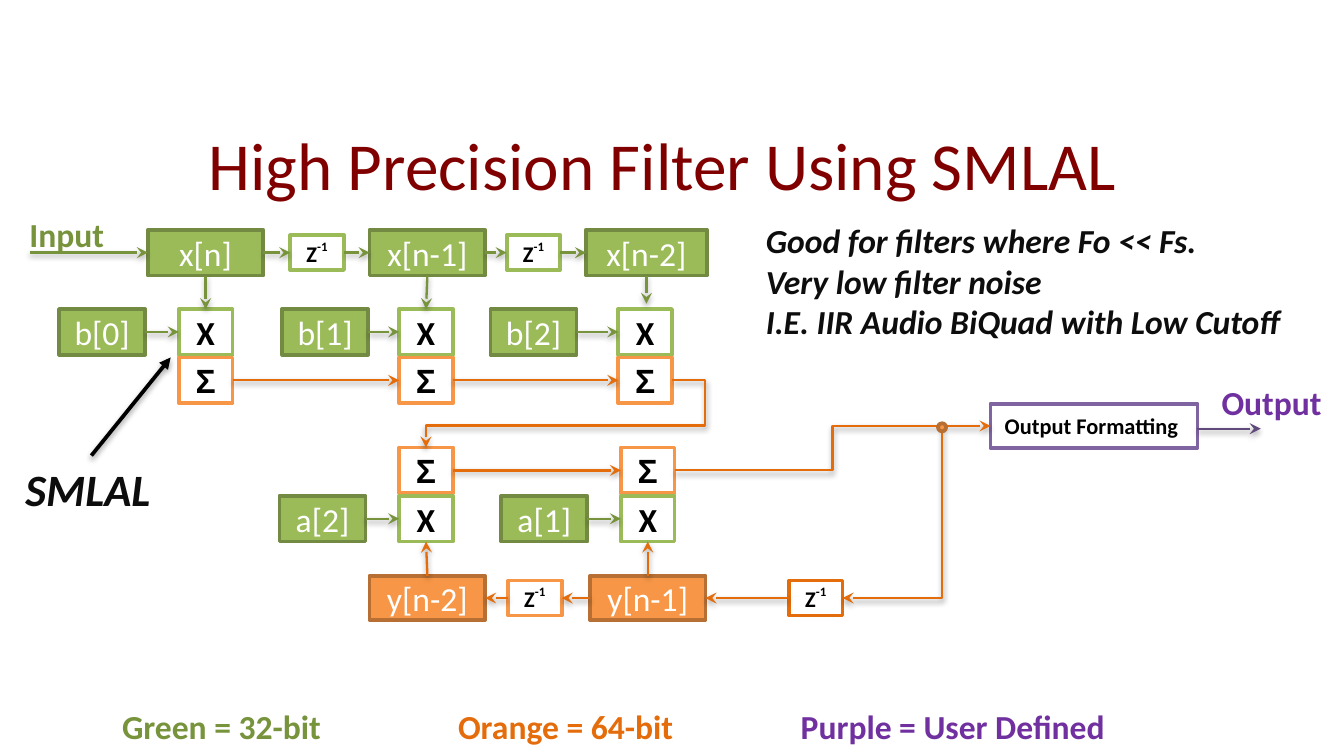
from lxml.etree import SubElement
from pptx import Presentation
from pptx.dml.color import RGBColor
from pptx.enum.shapes import MSO_CONNECTOR, MSO_SHAPE
from pptx.enum.text import MSO_ANCHOR, MSO_AUTO_SIZE, PP_ALIGN
from pptx.oxml import parse_xml
from pptx.oxml.ns import nsdecls, qn
from pptx.util import Inches, Pt

THEME = {
    "font": "Calibri", "math": "Arial",
    "title": "800000", "ink": "0D0D0D", "black": "000000", "white": "FFFFFF",
    "green": "9BBB59", "green_edge": "738A42", "green_dark": "77933C",
    "orange": "F79646", "orange_edge": "B76F34", "orange_dark": "E46C0A",
    "purple": "7030A0", "purple_edge": "8064A2", "purple_dark": "604A7B",
    "title_size": 36, "callout_size": 24, "body_size": 18, "small_size": 12,
    "box_line": 2, "wire": 1.25,
}
TOP, LEFT, BOTTOM, RIGHT = range(4)

TITLE = "High Precision Filter Using SMLAL"

# kind: width, height, fill, line, text colour, size, bold, font
KINDS = {
    "input": (0.86, 0.34, "green", "green_edge", "white", "body_size", False, "font"),
    "input_wide": (0.9, 0.34, "green", "green_edge", "white", "body_size", False, "font"),
    "coef": (0.64, 0.34, "green", "green_edge", "white", "body_size", False, "font"),
    "output": (0.86, 0.33, "orange", "orange_edge", "white", "body_size", False, "font"),
    "delay": (0.40, 0.26, "white", "green", "black", "small_size", True, "font"),
    "delay_out": (0.40, 0.26, "white", "orange", "black", "small_size", True, "font"),
    "delay_in": (0.40, 0.26, "white", "orange_dark", "black", "small_size", True, "font"),
    "mul": (0.40, 0.34, "white", "green", "black", "body_size", True, "font"),
    "sum": (0.40, 0.34, "white", "orange", "black", "body_size", True, "math"),
    "format": (1.54, 0.33, "white", "purple_edge", "black", "small_size", True, "font"),
}

# row: centre height
ROWS = {"x": 1.88, "mul": 2.47, "sum": 2.83, "out": 3.17,
        "sum_back": 3.5, "mul_back": 3.86, "y": 4.45}

# name, text, superscript, kind, left, row
BOXES = [
    ("x0", "x[n]", "", "input", 1.1, "x"),
    ("x1", "x[n-1]", "", "input", 2.75, "x"),
    ("x2", "x[n-2]", "", "input_wide", 4.36, "x"),
    ("zx1", "Z", "-1", "delay", 2.16, "x"),
    ("zx2", "Z", "-1", "delay", 3.77, "x"),
    ("b0", "b[0]", "", "coef", 0.44, "mul"),
    ("b1", "b[1]", "", "coef", 2.1, "mul"),
    ("b2", "b[2]", "", "coef", 3.65, "mul"),
    ("mb0", "X", "", "mul", 1.33, "mul"),
    ("mb1", "X", "", "mul", 2.97, "mul"),
    ("mb2", "X", "", "mul", 4.6, "mul"),
    ("sb0", "Σ", "", "sum", 1.33, "sum"),
    ("sb1", "Σ", "", "sum", 2.97, "sum"),
    ("sb2", "Σ", "", "sum", 4.6, "sum"),
    ("sa2", "Σ", "", "sum", 2.97, "sum_back"),
    ("sa1", "Σ", "", "sum", 4.62, "sum_back"),
    ("a2", "a[2]", "", "coef", 2.08, "mul_back"),
    ("a1", "a[1]", "", "coef", 3.73, "mul_back"),
    ("ma2", "X", "", "mul", 2.97, "mul_back"),
    ("ma1", "X", "", "mul", 4.62, "mul_back"),
    ("y2", "y[n-2]", "", "output", 2.75, "y"),
    ("y1", "y[n-1]", "", "output", 4.39, "y"),
    ("zy2", "Z", "-1", "delay_out", 3.78, "y"),
    ("zy1", "Z", "-1", "delay_in", 5.87, "y"),
    ("format", "Output Formatting ", "", "format", 7.37, "out"),
]

# colour: links, each end a (box, side) pair or a point
LINKS = {
    "green_dark": [
        ((0.22, 1.88), ("x0", LEFT)),
        (("x0", RIGHT), ("zx1", LEFT)), (("zx1", RIGHT), ("x1", LEFT)),
        (("x1", RIGHT), ("zx2", LEFT)), (("zx2", RIGHT), ("x2", LEFT)),
        (("x0", BOTTOM), ("mb0", TOP)), (("x1", BOTTOM), ("mb1", TOP)),
        (("x2", BOTTOM), (4.81, 2.26)),
        (("b0", RIGHT), ("mb0", LEFT)), (("b1", RIGHT), ("mb1", LEFT)),
        (("b2", RIGHT), ("mb2", LEFT)),
        (("a2", RIGHT), ("ma2", LEFT)), (("a1", RIGHT), ("ma1", LEFT)),
    ],
    "orange_dark": [
        (("sb0", RIGHT), ("sb1", LEFT)), (("sb1", RIGHT), ("sb2", LEFT)),
        (("sa2", RIGHT), ("sa1", LEFT)),
        (("zy1", LEFT), ("y1", RIGHT)), (("y1", LEFT), ("zy2", RIGHT)),
        (("zy2", LEFT), ("y2", RIGHT)),
        (("y2", TOP), ("ma2", BOTTOM)), (("y1", TOP), ("ma1", BOTTOM)),
    ],
    "purple_dark": [((8.91, 3.19), (9.38, 3.19))],
}

# from, to, preset, adjustments, arrow end
BENDS = [
    ((5.0, 2.83), (3.17, 3.33), "bentConnector4", (-13600, 67200), "tailEnd"),
    ((5.02, 3.5), (7.37, 3.17), "bentConnector3", (50000,), "tailEnd"),
    ((6.27, 4.45), (7.01, 3.18), "bentConnector2", (), "headEnd"),
]

# left, top, width, height, lines of (text, colour) runs, size, italic
LABELS = [
    (0.81, 5.2, 8, 0.4, [[("Green = 32-bit\t", "green_dark"),
                          ("Orange = 64-bit\t", "orange_dark"),
                          ("Purple = User Defined", "purple")]], "body_size", False),
    (0.12, 1.54, 0.78, 0.4, [[("Input", "green_dark")]], "body_size", False),
    (8.99, 2.79, 0.99, 0.4, [[("Output", "purple")]], "body_size", False),
    (5.6, 1.59, 4.14, 1.01, [[("Good for filters where Fo << Fs.", "ink")],
                             [("Very low filter noise", "ink")],
                             [("I.E. IIR Audio BiQuad with Low Cutoff", "ink")]],
     "body_size", True),
    (0.09, 3.39, 1.18, 0.5, [[("SMLAL", "ink")]], "callout_size", True),
]
LEGEND_TABS = (2.5, 5.05)


def rgb(name):
    return RGBColor.from_string(THEME[name])


def add_run(p, text, color="black", size="body_size", bold=False, italic=False,
            font="font", baseline=None):
    r = p.add_run()
    r.text = text
    r.font.name, r.font.size = THEME[font], Pt(THEME[size])
    r.font.bold, r.font.italic = bold, italic
    r.font.color.rgb = rgb(color)
    if baseline:
        r.font._element.set("baseline", str(baseline))


def add_node(s, shape, left, top, width, height, fill, line):
    sp = s.shapes.add_shape(shape, *map(Inches, (left, top, width, height)))
    sp.shadow.inherit = False
    sp.fill.solid()
    sp.fill.fore_color.rgb = rgb(fill)
    sp.line.color.rgb = rgb(line)
    sp.line.width = Pt(THEME["box_line"])
    return sp


def add_box(s, text, sup, kind, left, row):
    width, height, fill, line, color, size, bold, font = KINDS[kind]
    sp = add_node(s, MSO_SHAPE.RECTANGLE, left, ROWS[row] - height / 2,
                  width, height, fill, line)
    tf = sp.text_frame
    tf.margin_left = tf.margin_right = tf.margin_top = tf.margin_bottom = 0
    tf.vertical_anchor = MSO_ANCHOR.MIDDLE
    p = tf.paragraphs[0]
    p.alignment = PP_ALIGN.CENTER
    add_run(p, text, color, size, bold, font=font)
    if sup:
        add_run(p, sup, color, size, bold, baseline=48000)
    return sp


def add_arrow(s, start, end, color, width=THEME["wire"], head="stealth",
              arrow_end="tailEnd", kind=MSO_CONNECTOR.STRAIGHT):
    """Add a connector with an arrowhead and a soft shadow below it."""
    c = s.shapes.add_connector(kind, *map(Inches, (*start, *end)))
    c.line.color.rgb = rgb(color)
    c.line.width = Pt(width)
    SubElement(c.line._get_or_add_ln(), qn("a:" + arrow_end), type=head)
    c._element.spPr.append(parse_xml(
        f'<a:effectLst {nsdecls("a")}><a:outerShdw blurRad="40000" dist="20000" '
        'dir="5400000" rotWithShape="0"><a:srgbClr val="000000">'
        '<a:alpha val="38000"/></a:srgbClr></a:outerShdw></a:effectLst>'))
    return c


def add_link(s, boxes, start, end, color):
    """Join two ends; an end that names a box is glued to its side."""
    c = add_arrow(s, *[(0, 0) if e[0] in boxes else e for e in (start, end)], color)
    for e, connect in ((start, c.begin_connect), (end, c.end_connect)):
        if e[0] in boxes:
            connect(boxes[e[0]], e[1])


def add_bend(s, start, end, preset, adjustments, arrow_end):
    c = add_arrow(s, start, end, "orange_dark", arrow_end=arrow_end,
                  kind=MSO_CONNECTOR.ELBOW)
    geom = c._element.spPr.find(qn("a:prstGeom"))
    geom.set("prst", preset)
    for i, value in enumerate(adjustments, 1):
        SubElement(geom.find(qn("a:avLst")), qn("a:gd"), name=f"adj{i}", fmla=f"val {value}")


def add_label(s, left, top, width, height, lines, size, italic):
    tf = s.shapes.add_textbox(*map(Inches, (left, top, width, height))).text_frame
    tf.word_wrap = True
    tf.auto_size = MSO_AUTO_SIZE.SHAPE_TO_FIT_TEXT
    for i, runs in enumerate(lines):
        p = tf.add_paragraph() if i else tf.paragraphs[0]
        for text, color in runs:
            add_run(p, text, color, size, bold=True, italic=italic)
        if len(runs) > 1:
            tabs = SubElement(p._p.get_or_add_pPr(), qn("a:tabLst"))
            for pos in LEGEND_TABS:
                SubElement(tabs, qn("a:tab"), pos=str(Inches(pos)), algn="l")


def main():
    prs = Presentation()
    prs.slide_width = Inches(10)
    prs.slide_height = prs.slide_width * 9 // 16
    s = prs.slides.add_slide(prs.slide_layouts[5])

    title = s.shapes.title
    title.left, title.top, title.width, title.height = map(Inches, (0.43, 0.87, 9, 0.65))
    title.text_frame.vertical_anchor = MSO_ANCHOR.TOP
    p = title.text_frame.paragraphs[0]
    p.alignment = PP_ALIGN.CENTER
    add_run(p, TITLE, "title", "title_size")

    boxes = {name: add_box(s, *box) for name, *box in BOXES}
    for color, links in LINKS.items():
        for start, end in links:
            add_link(s, boxes, start, end, color)
    for bend in BENDS:
        add_bend(s, *bend)
    add_node(s, MSO_SHAPE.OVAL, 6.98, 3.15, 0.06, 0.06, "orange", "orange_edge")
    for label in LABELS:
        add_label(s, *label)
    add_arrow(s, (0.68, 3.39), (1.27, 2.66), "black", width=2, head="triangle")
    prs.save("out.pptx")


if __name__ == "__main__":
    main()
